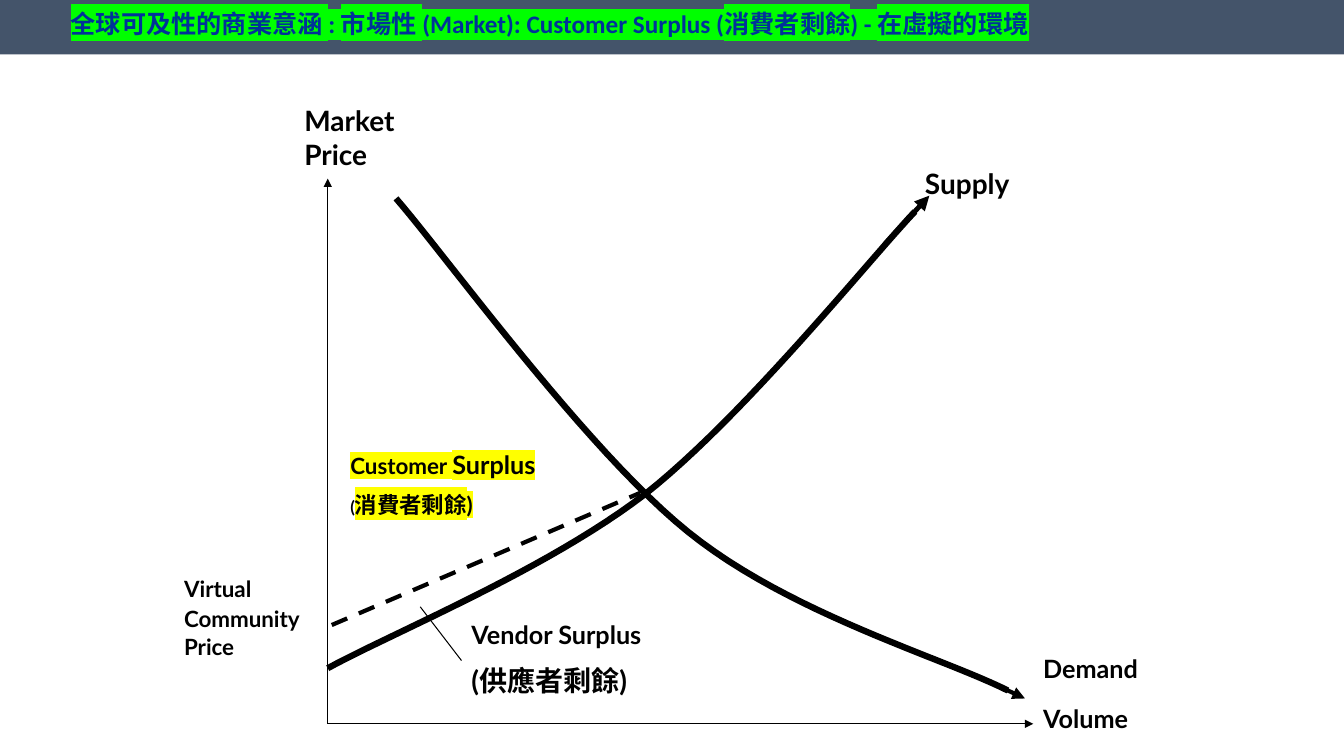
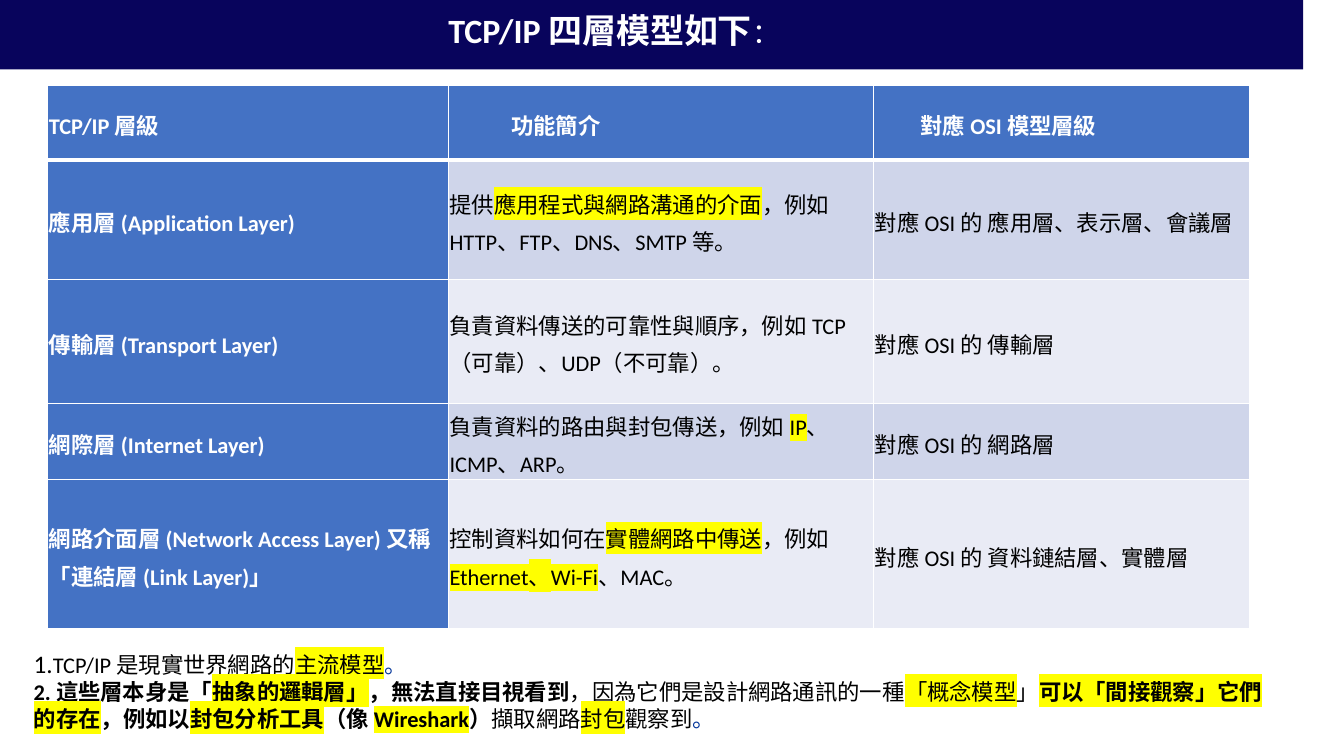
import lxml.etree
import pptx
import pptx.dml.color
import pptx.enum.dml
import pptx.enum.shapes
import pptx.enum.text
import pptx.oxml.ns
import pptx.util

Cm = pptx.util.Cm
Pt = pptx.util.Pt
qn = pptx.oxml.ns.qn
ANCHOR = pptx.enum.text.MSO_ANCHOR
LEFT = pptx.enum.text.PP_ALIGN.LEFT

BLACK, WHITE, BLUE, YELLOW, GREEN = "000000", "FFFFFF", "003399", "FFFF00", "00FF00"
SLATE, NAVY, TABLE_BLUE = "44546A", "08045C", "4472C4"
BANDS = ("CFD5EA", "E9EBF5")
MARK = {"highlight": YELLOW}
PLAIN = {"bold": False}
MARK_PLAIN = {**MARK, **PLAIN}


def rgb(value):
    return pptx.dml.color.RGBColor.from_string(value)


def add_solid_fill(parent, color):
    fill = lxml.etree.SubElement(parent, qn("a:solidFill"))
    lxml.etree.SubElement(fill, qn("a:srgbClr"), val=color)


def cubic(start, first, second, end, steps=24):
    for step in range(1, steps + 1):
        t = step / steps
        weights = ((1 - t) ** 3, 3 * t * (1 - t) ** 2, 3 * t * t * (1 - t), t ** 3)
        yield tuple(
            sum(weight * point[axis] for weight, point in zip(weights, (start, first, second, end)))
            for axis in (0, 1)
        )


class Slides:
    def __init__(self):
        self.deck = pptx.Presentation()
        self.deck.slide_width, self.deck.slide_height = Cm(33.87), Cm(19.05)
        self.page = None

    def add_page(self):
        self.page = self.deck.slides.add_slide(self.deck.slide_layouts[5])

    def compose(self, frame, paras, text_format, layout=None, gap=0):
        frame.word_wrap = True
        for index, spans in enumerate(paras):
            para = frame.add_paragraph() if index else frame.paragraphs[0]
            for name, value in (layout or {}).items():
                setattr(para, name, value)
            if index and gap:
                para.space_before = Pt(gap)
            for entry in [spans] if isinstance(spans, str) else spans:
                text, extra = (entry, {}) if isinstance(entry, str) else entry
                span = para.add_run()
                span.text = text
                self.style(span, {**text_format, **extra})

    def style(self, span, text_format):
        values = dict(text_format)
        span.font.color.rgb = rgb(values.pop("color"))
        highlight = values.pop("highlight", None)
        if highlight:
            mark = lxml.etree.SubElement(span._r.get_or_add_rPr(), qn("a:highlight"))
            lxml.etree.SubElement(mark, qn("a:srgbClr"), val=highlight)
        for name, value in values.items():
            setattr(span.font, name, value)

    def title(self, spans, width, height, fill, indent, text_format):
        box = self.page.shapes.title
        box.left, box.top, box.width, box.height = 0, 0, Cm(width), Cm(height)
        box.fill.solid()
        box.fill.fore_color.rgb = rgb(fill)
        frame = box.text_frame
        settings = {
            "auto_size": pptx.enum.text.MSO_AUTO_SIZE.NONE,
            "vertical_anchor": ANCHOR.MIDDLE,
            "margin_left": Cm(indent),
            "margin_right": 0,
            "margin_top": 0,
            "margin_bottom": Cm(0.1),
        }
        for name, value in settings.items():
            setattr(frame, name, value)
        layout = {"alignment": LEFT, "line_spacing": 0.9}
        self.compose(frame, [spans], {"name": "Calibri", "bold": True, **text_format}, layout)

    def text(self, left, top, width, height, paras, text_format, layout=None, gap=0):
        box = self.page.shapes.add_textbox(Cm(left), Cm(top), Cm(width), Cm(height))
        self.compose(box.text_frame, paras, text_format, layout, gap)

    def panel(self, left, top, width, height, paras, text_format, gap):
        box = self.page.shapes.add_shape(
            pptx.enum.shapes.MSO_SHAPE.RECTANGLE, Cm(left), Cm(top), Cm(width), Cm(height)
        )
        box.shadow.inherit = False
        box.fill.solid()
        box.fill.fore_color.rgb = rgb(WHITE)
        box.line.color.rgb = rgb(WHITE)
        box.line.width = Pt(0.75)
        box.text_frame.vertical_anchor = ANCHOR.TOP
        self.compose(box.text_frame, paras, text_format, {"alignment": LEFT}, gap)
        return box

    def line(self, start, end, width=0.75, arrow=False, dashed=False, target=None):
        connector = self.page.shapes.add_connector(
            pptx.enum.shapes.MSO_CONNECTOR.STRAIGHT, *(Cm(value) for value in (*start, *end))
        )
        if target is not None:
            connector.end_connect(target, 1)
        connector.line.color.rgb = rgb(BLACK)
        connector.line.width = Pt(width)
        if dashed:
            connector.line.dash_style = pptx.enum.dml.MSO_LINE.DASH
        properties = connector.element.spPr
        if arrow:
            lxml.etree.SubElement(properties.find(qn("a:ln")), qn("a:tailEnd"), type="triangle")
        lxml.etree.SubElement(properties, qn("a:effectLst"))

    def curve(self, start, *segments):
        points = [start]
        for segment in segments:
            points.extend(cubic(points[-1], *segment))
        points = [(Cm(x), Cm(y)) for x, y in points]
        builder = self.page.shapes.build_freeform(*points[0])
        builder.add_line_segments(points[1:], close=False)
        shape = builder.convert_to_shape()
        shape.shadow.inherit = False
        shape.fill.background()
        shape.line.color.rgb = rgb(BLACK)
        shape.line.width = Pt(4.5)

    def table(self, left, top, widths, heights, rows, header_indents):
        grid = self.page.shapes.add_table(
            len(rows), len(widths), Cm(left), Cm(top), Cm(sum(widths)), Cm(sum(heights))
        ).table
        for column, width in zip(grid.columns, widths):
            column.width = Cm(width)
        for row, height in zip(grid.rows, heights):
            row.height = Cm(height)
        for row_index, row in enumerate(rows):
            for column_index, spans in enumerate(row):
                strong = row_index == 0 or column_index == 0
                indent = header_indents[column_index] if row_index == 0 else 0.03
                fill = TABLE_BLUE if strong else BANDS[(row_index - 1) % 2]
                cell = grid.cell(row_index, column_index)
                self.cell(cell, spans, fill, strong, indent)
                self.borders(cell, {"T": 3 if row_index == 1 else 1, "B": 1 if row_index else 3})

    def cell(self, cell, spans, fill, strong, indent):
        settings = {
            "vertical_anchor": ANCHOR.MIDDLE,
            "margin_left": Cm(indent),
            "margin_right": Cm(0.03),
            "margin_top": Cm(0.03),
            "margin_bottom": Cm(0.03),
        }
        for name, value in settings.items():
            setattr(cell, name, value)
        cell.fill.solid()
        cell.fill.fore_color.rgb = rgb(fill)
        text_format = {
            "name": "Calibri", "size": Pt(16), "bold": strong, "color": WHITE if strong else BLACK
        }
        layout = {"line_spacing": 1.15, "space_after": Pt(8)}
        self.compose(cell.text_frame, [spans], text_format, layout)

    def borders(self, cell, widths):
        properties = cell._tc.get_or_add_tcPr()
        for index, side in enumerate("LRTB"):
            border = lxml.etree.Element(qn("a:ln" + side), w=str(Pt(widths.get(side, 1))))
            add_solid_fill(border, WHITE)
            properties.insert(index, border)


def market_page(slides):
    slides.add_page()
    slides.title(
        ["全球可及性的商業意涵 : 市場性 (Market): Customer Surplus (消費者剩餘) - 在虛擬的環境"],
        33.87, 1.37, SLATE, 1.78,
        {"size": Pt(18), "color": BLUE, "highlight": GREEN},
    )
    small, medium, large = (
        {"name": "Lato", "size": Pt(size), "bold": True, "color": BLACK} for size in (16, 18, 20)
    )
    origin = (8.26, 18.24)
    slides.line(origin, (8.26, 4.5), arrow=True)
    slides.line(origin, (26.04, 18.24), arrow=True)
    slides.curve(
        (23.06, 5.33),
        ((21.95, 6.5), (18.72, 10.52), (16.26, 12.45)),
        ((13.79, 14.35), (9.93, 15.93), (8.26, 16.84)),
    )
    slides.line((22.3, 6.15), (23.42, 4.93), 3.5, arrow=True)
    slides.curve(
        (9.98, 5),
        ((11.2, 6.4), (14.78, 11.35), (17.35, 13.41)),
        ((19.91, 15.47), (23.72, 16.56), (25.4, 17.4)),
    )
    slides.line((24.97, 17.2), (25.83, 17.6), 3, arrow=True)
    slides.line((8.36, 15.75), (16.13, 12.42), 3, dashed=True)
    slides.text(7.42, 2.79, 4.24, 1.73, ["Market", "Price"], large, {"line_spacing": 0.6}, 10)
    slides.text(23.06, 4.06, 2.97, 1.09, ["Supply"], large)
    vendor = slides.panel(
        11.63, 15.49, 6.2, 2.31,
        ["Vendor Surplus", [("(供應者剩餘)", {"size": Pt(20)})]], medium, 10,
    )
    slides.line((10.59, 15.29), (11.63, 16.65), target=vendor)
    slides.text(
        8.58, 11.2, 7.29, 2.82,
        [
            [("Customer ", MARK), ("Surplus", {**MARK, "size": Pt(18)})],
            [("(", {"size": Pt(12)}), ("消費者剩餘)", MARK)],
        ],
        small, gap=8,
    )
    for top, label in ((16.33, "Demand"), (17.6, "Volume")):
        slides.text(26.04, top, 3.61, 1.02, [label], medium)
    slides.text(
        4.39, 14.38, 4.24, 2.39,
        [["Virtual Community", (" ", {"size": Pt(18)}), "Price"]], small,
    )


def layers_page(slides):
    slides.add_page()
    slides.title(
        ["TCP/IP 四層模型如下", ("：", {"size": Pt(19.8), "bold": False})],
        32.84, 1.75, NAVY, 11.3, {"size": Pt(24.3), "color": WHITE},
    )
    rows = [
        ["TCP/IP 層級", "功能簡介", "對應 OSI 模型層級"],
        [
            "應用層 (Application Layer)",
            ["提供", ("應用程式與網路溝通的介面", MARK), "，例如 HTTP、FTP、DNS、SMTP 等。"],
            "對應 OSI 的 應用層、表示層、會議層",
        ],
        [
            "傳輸層 (Transport Layer)",
            "負責資料傳送的可靠性與順序，例如 TCP（可靠）、UDP（不可靠）。",
            "對應 OSI 的 傳輸層",
        ],
        [
            "網際層 (Internet Layer)",
            ["負責資料的路由與封包傳送，例如 ", ("IP", MARK), "、ICMP、ARP。"],
            "對應 OSI 的 網路層",
        ],
        [
            "網路介面層 (Network Access Layer) 又稱「連結層 (Link Layer)」",
            ["控制資料如何在", ("實體網路中傳送", MARK), "，例如 ", ("Ethernet、Wi-Fi", MARK), "、MAC。"],
            "對應 OSI 的 資料鏈結層、實體層",
        ],
    ]
    slides.table(
        1.2, 2.14, (10.1, 10.72, 9.48), (1.9, 3, 3.12, 1.9, 3.76), rows, (0.03, 1.58, 1.18)
    )
    slides.text(
        0.6, 16.2, 31.63, 2.39,
        [
            [
                ("1.", {**PLAIN, "size": Pt(18)}),
                ("TCP/IP 是現實世界網路的", PLAIN),
                ("主流模型", MARK_PLAIN),
                ("。", {**PLAIN, "color": BLUE}),
            ],
            [
                "2. 這些層本身是「",
                ("抽象的邏輯層」", MARK),
                "，無法直接目視看到",
                ("，因為它們是設計網路通訊的一種", PLAIN),
                ("「概念模型", MARK_PLAIN),
                ("」", PLAIN),
                ("可以「間接觀察」它們的存在", MARK),
                "，例如以",
                ("封包分析工具", MARK),
                "（像 ",
                ("Wireshark", MARK),
                "）",
                ("擷取網路", PLAIN),
                ("封包", MARK_PLAIN),
                ("觀察到", PLAIN),
                ("。", {**PLAIN, "color": BLUE}),
            ],
        ],
        {"name": "Calibri", "size": Pt(16), "bold": True, "color": BLACK},
    )


def main():
    slides = Slides()
    market_page(slides)
    layers_page(slides)
    slides.deck.save("out.pptx")


if __name__ == "__main__":
    main()
